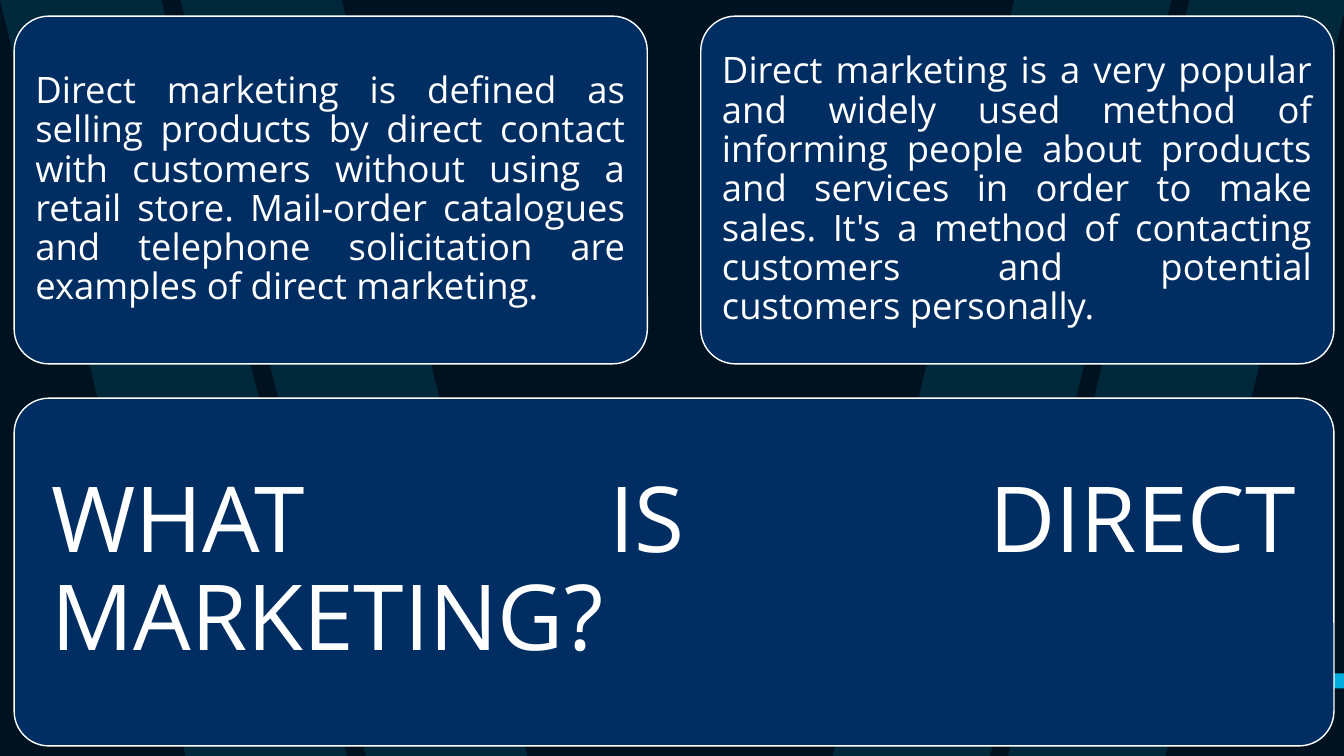
from dataclasses import dataclass

from lxml.etree import SubElement
from pptx import Presentation
from pptx.dml.color import RGBColor as Rgb
from pptx.enum.shapes import MSO_SHAPE as Form
from pptx.enum.text import MSO_ANCHOR as Anchor, PP_ALIGN as Align
from pptx.oxml.ns import qn
from pptx.util import Inches, Pt


@dataclass(frozen=True)
class Theme:
    back: Rgb = Rgb(0x00, 0x11, 0x1F)
    card: Rgb = Rgb(0x00, 0x2E, 0x62)
    accent: Rgb = Rgb(0x00, 0xAE, 0xDE)
    light: Rgb = Rgb(0xFF, 0xFF, 0xFF)
    font: str = "Open Sans"
    title: int = 65
    body: int = 26


THEME = Theme()
WIDE, HIGH = 13.33, 7.5
EDGE, TOP, CARD_W, CARD_H = 0.14, 0.16, 6.28, 3.45
COL_STEP, ROW_STEP = 6.81, 3.79

DEFINED = (
    "Direct marketing is defined as selling products by direct contact with "
    "customers without using a retail store. Mail-order catalogues and "
    "telephone solicitation are examples of direct marketing."
)
POPULAR = (
    "Direct marketing is a very popular and widely used method of informing "
    "people about products and services in order to make sales. It's a method "
    "of contacting customers and potential customers personally."
)


def apply(target, values):
    for name, value in values.items():
        setattr(target, name, value)


def add_patch(slide, points, alpha=None):
    """Draw a closed accent outline; alpha is its opacity in percent."""
    spots = [(Inches(x), Inches(y)) for x, y in points]
    build = slide.shapes.build_freeform(*spots[0])
    build.add_line_segments(spots[1:], close=True)
    patch = build.convert_to_shape()
    patch.shadow.inherit = False
    patch.fill.solid()
    patch.fill.fore_color.rgb = THEME.accent
    patch.line.fill.background()
    if alpha is not None:
        color = patch.element.spPr.find(f"{qn('a:solidFill')}/{qn('a:srgbClr')}")
        SubElement(color, qn("a:alpha"), val=str(alpha * 1000))


def add_stripes(slide, left, width, step, lean):
    """Draw two slanted bands whose feet are shifted sideways by lean."""
    for index in range(2):
        x = left + index * step
        add_patch(slide, [(x, 0), (x + width, 0),
                          (x + width + lean, HIGH), (x + lean, HIGH)], alpha=15)


def add_card(slide, col, row, width, text, size, inset):
    card = slide.shapes.add_shape(
        Form.ROUNDED_RECTANGLE,
        Inches(EDGE + col * COL_STEP), Inches(TOP + row * ROW_STEP),
        Inches(width), Inches(CARD_H))
    card.adjustments[0] = 0.1
    card.shadow.inherit = False
    card.fill.solid()
    card.fill.fore_color.rgb = THEME.card
    card.line.color.rgb = THEME.light
    card.line.width = Pt(1)

    frame = card.text_frame
    sides = ("left", "top", "right", "bottom")
    apply(frame, {f"margin_{side}": Inches(inset) for side in sides})
    apply(frame, {"word_wrap": True, "vertical_anchor": Anchor.MIDDLE})
    para = frame.paragraphs[0]
    apply(para, {"alignment": Align.JUSTIFY, "line_spacing": 0.9})
    run = para.add_run()
    run.text = text
    apply(run.font, {"name": THEME.font, "size": Pt(size)})
    run.font.color.rgb = THEME.light


def main():
    deck = Presentation()
    apply(deck, {"slide_width": Inches(WIDE), "slide_height": Inches(HIGH)})
    slide = deck.slides.add_slide(deck.slide_layouts[6])
    slide.background.fill.solid()
    slide.background.fill.fore_color.rgb = THEME.back

    add_stripes(slide, left=0, width=1.6, step=1.79, lean=1.84)
    add_stripes(slide, left=10.06, width=1.56, step=1.74, lean=-1.8)
    add_patch(slide, [(12.36, 6.68), (WIDE, 6.68), (WIDE, 6.83), (12.46, 6.83)])

    add_card(slide, 0, 1, COL_STEP + CARD_W, "WHAT IS DIRECT MARKETING?",
             THEME.title, inset=0.27)
    for col, text in enumerate((DEFINED, POPULAR)):
        add_card(slide, col, 0, CARD_W, text, THEME.body, inset=0.11)

    deck.save("out.pptx")


if __name__ == "__main__":
    main()
